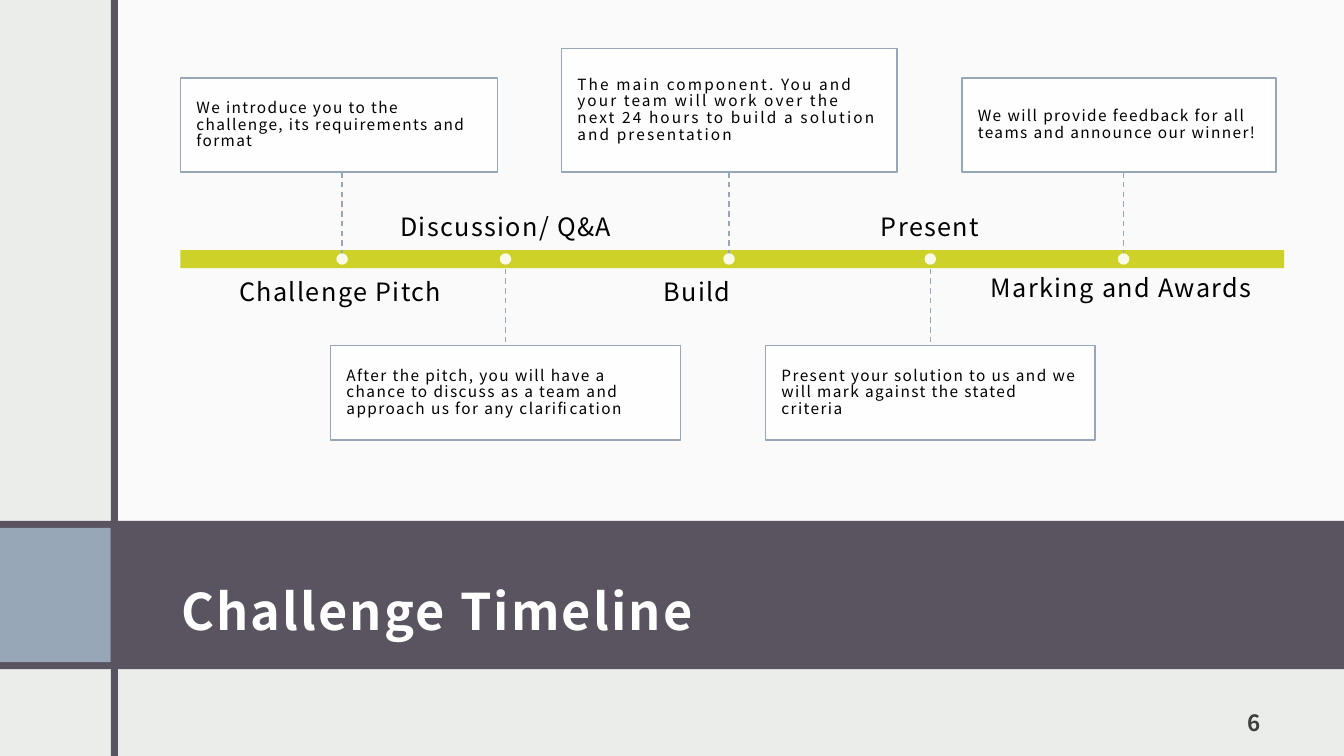
from collections import namedtuple

from lxml import etree
from pptx import Presentation
from pptx.dml.color import RGBColor
from pptx.enum.dml import MSO_LINE
from pptx.enum.shapes import MSO_CONNECTOR, MSO_SHAPE
from pptx.enum.text import MSO_ANCHOR, MSO_AUTO_SIZE, PP_ALIGN
from pptx.oxml.ns import qn
from pptx.util import Pt

RECT, OVAL = MSO_SHAPE.RECTANGLE, MSO_SHAPE.OVAL
STRAIGHT, DASH = MSO_CONNECTOR.STRAIGHT, MSO_LINE.DASH
TOP, MIDDLE, BOTTOM = MSO_ANCHOR.TOP, MSO_ANCHOR.MIDDLE, MSO_ANCHOR.BOTTOM
LEFT, CENTER, RIGHT = PP_ALIGN.LEFT, PP_ALIGN.CENTER, PP_ALIGN.RIGHT
NO_FIT = MSO_AUTO_SIZE.NONE

FONT = "Noto Sans CJK JP"
PALE = RGBColor(0xEB, 0xED, 0xEB)
WHITE = RGBColor(0xFF, 0xFF, 0xFF)
BLACK = RGBColor(0, 0, 0)
PLUM = RGBColor(0x59, 0x54, 0x60)
BLUE = RGBColor(0x97, 0xA7, 0xB8)
LIME = RGBColor(0xCE, 0xD2, 0x28)
GREY = RGBColor(0x40, 0x40, 0x40)

AXIS_Y = 185
UPPER_EDGE, LOWER_EDGE = 123, 247
LABEL_W, LABEL_H = 210, 36.7
UPPER_LABEL_Y, LOWER_LABEL_Y = 136, 197.3
DOT = 8.2

Step = namedtuple("Step", "label label_x label_spacing x card_x card_w card_h above text text_spc")
STEPS = [
    Step("Challenge Pitch", 138.2, 1, 244.4, 128.9, 226.6, 67.3, True,
         "We introduce you to the challenge, its requirements and format", 1),
    Step("Discussion/ Q&A", 256.3, 1, 361.1, 236.1, 250, 67.3, False,
         "After the pitch, you will have a chance to discuss as a team "
         "and approach us for any clarification", 1),
    Step("Build", 393, 1, 520.7, 401, 239.8, 88.5, True,
         "The main component. You and your team will work over the next "
         "24 hours to build a solution and presentation", 1.5),
    Step("Present", 559.4, 0.9, 664.5, 546.8, 235.4, 67.3, False,
         "Present your solution to us and we will mark against the stated criteria", 1),
    Step("Marking and Awards", 696, 0.9, 802.6, 687.1, 224.4, 67.3, True,
         "We will provide feedback for all teams and announce our winner!", 1),
]


def add_block(s, kind, x, y, w, h, color, opacity=100, border=None):
    sp = s.shapes.add_shape(kind, Pt(x), Pt(y), Pt(w), Pt(h))
    sp.shadow.inherit = False
    sp.fill.solid()
    sp.fill.fore_color.rgb = color
    if opacity < 100:
        clr = sp.fill._xPr.find(".//" + qn("a:srgbClr"))
        etree.SubElement(clr, qn("a:alpha"), val=str(opacity * 1000))
    if border is None:
        sp.line.fill.background()
    else:
        sp.line.color.rgb = border
        sp.line.width = Pt(1)
    return sp


def write(sp, text, size, color=BLACK, bold=False, spc=1, align=LEFT,
          anchor=MIDDLE, margins=(0, 0, 0, 0), spacing=1):
    tf = sp.text_frame
    tf.text = text
    tf.word_wrap = True
    tf.auto_size = NO_FIT
    tf.vertical_anchor = anchor
    tf.margin_left, tf.margin_top, tf.margin_right, tf.margin_bottom = map(Pt, margins)
    p = tf.paragraphs[0]
    p.alignment = align
    p.line_spacing = spacing
    r = p.runs[0]
    r.font.name = FONT
    r.font.size = Pt(size)
    r.font.bold = bold
    r.font.color.rgb = color
    r.font._element.set("spc", str(int(spc * 100)))


def add_text(s, x, y, w, h, text, size, **style):
    sp = s.shapes.add_textbox(Pt(x), Pt(y), Pt(w), Pt(h))
    write(sp, text, size, **style)


def add_stem(s, x, y1, y2):
    line = s.shapes.add_connector(STRAIGHT, Pt(x), Pt(y1), Pt(x), Pt(y2))
    line.line.color.rgb = BLUE
    line.line.width = Pt(1)
    line.line.dash_style = DASH
    etree.SubElement(line._element.spPr, qn("a:effectLst"))


def add_step(s, step):
    if step.above:
        card_y, edge = UPPER_EDGE - step.card_h, UPPER_EDGE
        label_y, anchor = LOWER_LABEL_Y, TOP
    else:
        card_y, edge = LOWER_EDGE, LOWER_EDGE
        label_y, anchor = UPPER_LABEL_Y, BOTTOM
    add_stem(s, step.x, min(edge, AXIS_Y), max(edge, AXIS_Y))
    card = add_block(s, RECT, step.card_x, card_y, step.card_w, step.card_h,
                     WHITE, 90, BLUE)
    write(card, step.text, 11, spc=step.text_spc, margins=(11.4, 4.5, 11.4, 4.5),
          spacing=0.9)
    add_text(s, step.label_x, label_y, LABEL_W, LABEL_H, step.label, 18,
             align=CENTER, anchor=anchor, spacing=step.label_spacing)
    add_block(s, OVAL, step.x - DOT / 2, AXIS_Y - DOT / 2, DOT, DOT, WHITE, 90)


def add_backdrop(s):
    s.background.fill.solid()
    s.background.fill.fore_color.rgb = PALE
    add_block(s, RECT, 82, 0, 878, 372, WHITE, 75)
    add_block(s, RECT, 0, 372, 960, 106, PLUM)
    add_block(s, RECT, 0, 377, 79, 96, BLUE)
    add_block(s, RECT, 79.3, 0, 5, 540, PLUM)


def add_title(s, text):
    title = s.shapes.title
    title.left, title.top, title.width, title.height = map(Pt, (121, 384, 788, 81))
    write(title, text, 36, color=WHITE, bold=True, spc=1.5,
          margins=(8.6, 8.6, 8.6, 7.2), spacing=1.5)
    tree = s.shapes._spTree
    tree.remove(title._element)
    tree.append(title._element)


def main():
    prs = Presentation()
    prs.slide_width, prs.slide_height = Pt(960), Pt(540)
    s = prs.slides.add_slide(prs.slide_layouts[5])
    add_backdrop(s)
    add_title(s, "Challenge Timeline")
    add_text(s, 832, 497, 77, 36, "6", 16, color=GREY, bold=True, spc=1.5,
             align=RIGHT, anchor=BOTTOM, margins=(8.6, 8.6, 8.6, 7.2))
    add_block(s, RECT, 128.9, 178.6, 788.4, 13, LIME)
    for step in STEPS:
        add_step(s, step)
    prs.save("out.pptx")


if __name__ == "__main__":
    main()
